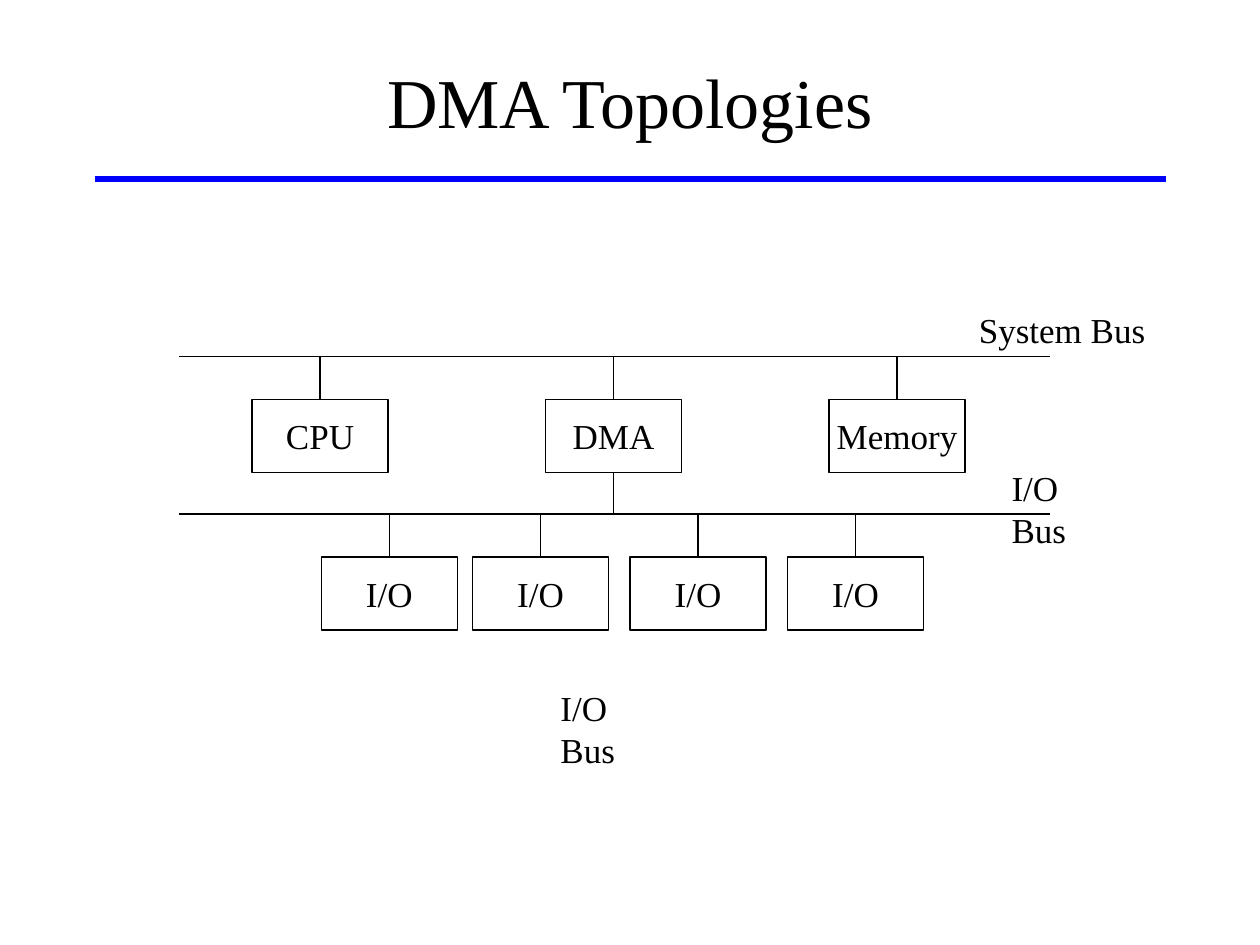
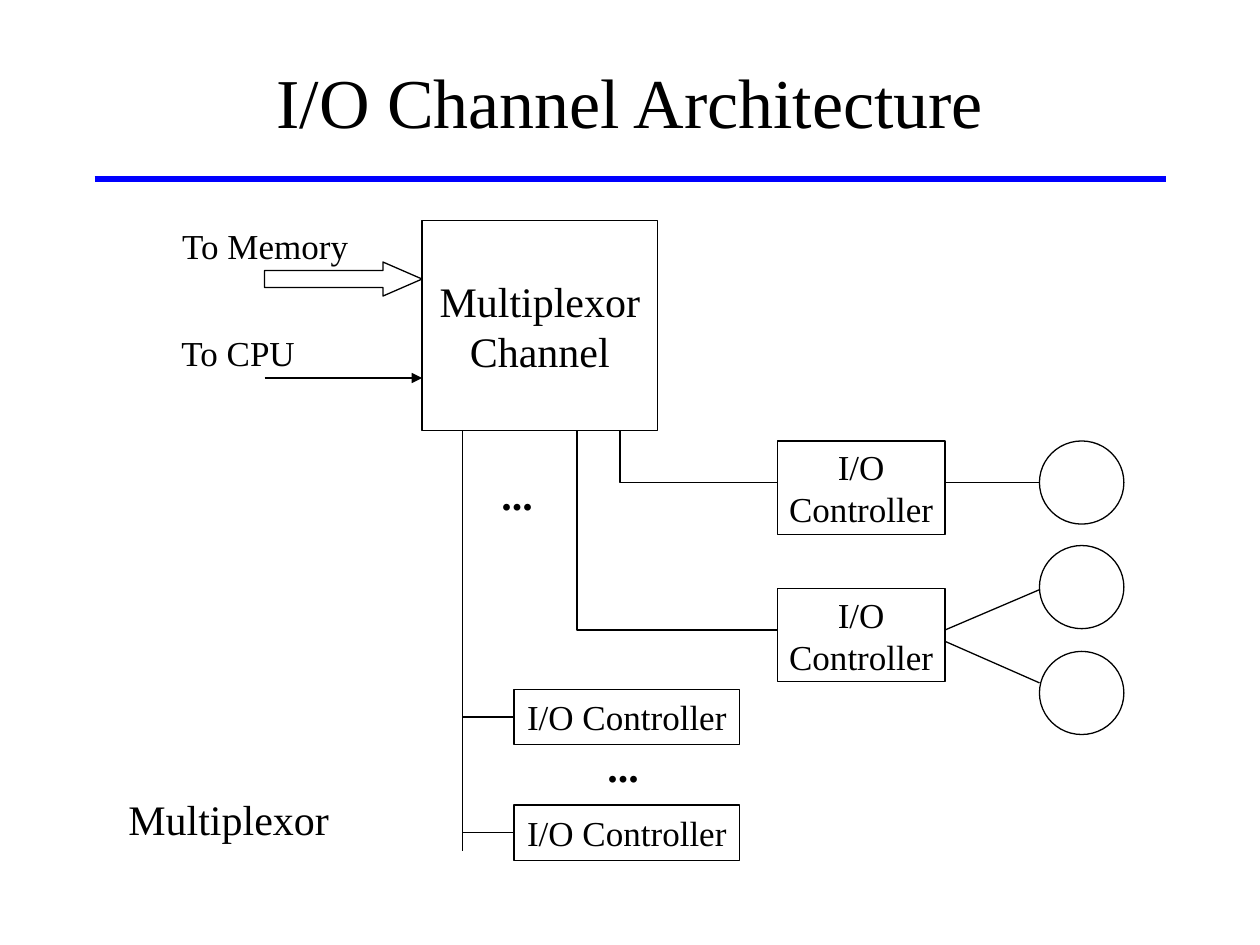
import pptx
import pptx.util
import pptx.dml.color
import pptx.enum.shapes
import pptx.enum.text
import pptx.oxml
import pptx.oxml.ns

PX = 9144
BLACK = pptx.dml.color.RGBColor(0, 0, 0)
BLUE = pptx.dml.color.RGBColor(0, 0, 255)
FONT = "Times New Roman"
SHAPE = pptx.enum.shapes.MSO_SHAPE
ALIGN = pptx.enum.text.PP_ALIGN
ANCHOR = pptx.enum.text.MSO_ANCHOR


def add_box(page, kind, left, top, width, height, text="", size=20, bold=False,
            align=ALIGN.CENTER, anchor=ANCHOR.MIDDLE):
    place = [length * PX for length in (left, top, width, height)]
    if kind is None:
        box = page.shapes.add_textbox(*place)
    else:
        box = page.shapes.add_shape(kind, *place)
        box.shadow.inherit = False
        box.fill.background()
        box.line.color.rgb = BLACK
        box.line.width = pptx.util.Pt(0.75)
    if text:
        frame = box.text_frame
        frame.text = text
        frame.word_wrap = False
        frame.vertical_anchor = anchor
        for para in frame.paragraphs:
            para.alignment = align
            for span in para.runs:
                span.font.name = FONT
                span.font.size = pptx.util.Pt(size)
                span.font.bold = bold
                span.font.color.rgb = BLACK
    return box


def add_line(page, x1, y1, x2, y2, color=BLACK, weight=0.75):
    line = page.shapes.add_connector(pptx.enum.shapes.MSO_CONNECTOR.STRAIGHT,
                                     x1 * PX, y1 * PX, x2 * PX, y2 * PX)
    line.line.color.rgb = color
    line.line.width = pptx.util.Pt(weight)
    pptx.oxml.ns.qn("a:effectLst")
    line._element.spPr.append(pptx.oxml.parse_xml(
        f"<a:effectLst {pptx.oxml.ns.nsdecls('a')}/>"))
    return line


deck = pptx.Presentation()
deck.slide_width = 1000 * PX
deck.slide_height = 750 * PX

pages = []
for title in ("DMA Topologies", "I/O Channel Architecture"):
    page = deck.slides.add_slide(deck.slide_layouts[6])
    add_line(page, 75, 142, 925, 142, BLUE, 3)
    add_box(page, None, 75, 17, 850, 125, title, 40)
    pages.append(page)
topologies, channels = pages

SYSTEM_BUS, IO_BUS = 283, 408
UNIT_WIDTH, UNIT_HEIGHT, DROP = 108, 58, 34
bus_units = [
    (SYSTEM_BUS, [("CPU", 200), ("DMA", 433), ("Memory", 658)]),
    (IO_BUS, [("I/O", left) for left in (255, 375, 500, 625)]),
]
for bus, units in bus_units:
    add_line(topologies, 142, bus, 833, bus)
    for name, left in units:
        unit = add_box(topologies, SHAPE.RECTANGLE, left, bus + DROP,
                       UNIT_WIDTH, UNIT_HEIGHT, name)
        middle = left + UNIT_WIDTH // 2
        add_line(topologies, middle, bus + DROP, middle, bus).begin_connect(unit, 0)
        if name == "DMA":
            add_line(topologies, middle, IO_BUS - DROP, middle, IO_BUS).begin_connect(unit, 2)

for name, left, top, width in [("System Bus", 767, 240, 152), ("I/O Bus", 793, 365, 107),
                               ("I/O Bus", 435, 540, 107)]:
    add_box(topologies, None, left, top, width, 43, name,
            align=ALIGN.LEFT, anchor=ANCHOR.TOP)

add_box(channels, SHAPE.RECTANGLE, 335, 175, 187, 167, "Multiplexor\nChannel", 24)
memory_arrow = add_box(channels, SHAPE.RIGHT_ARROW, 210, 208, 125, 27)
memory_arrow.adjustments[0] = 0.5
memory_arrow.adjustments[1] = 1.15
cpu_arrow = add_line(channels, 210, 300, 335, 300)
cpu_arrow.line._get_or_add_ln().append(pptx.oxml.parse_xml(
    f"<a:tailEnd {pptx.oxml.ns.nsdecls('a')} type='triangle'/>"))

for port, bend, top in [(492, 383, 350), (458, 500, 467)]:
    add_box(channels, SHAPE.RECTANGLE, 617, top, 133, 74, "I/O\nController")
    builder = channels.shapes.build_freeform(port, 342, scale=PX)
    builder.add_line_segments([(port, bend), (617, bend)], close=False)
    wire = builder.convert_to_shape()
    wire.shadow.inherit = False
    wire.fill.background()
    wire.line.color.rgb = BLACK
    wire.line.width = pptx.util.Pt(0.75)

for top, start, end in [(350, 383, 383), (433, 500, 468), (517, 509, 542)]:
    add_box(channels, SHAPE.OVAL, 825, top, 67, 66)
    add_line(channels, 750, start, 825, end)

add_line(channels, 367, 342, 367, 675)
for top in (547, 639):
    controller = add_box(channels, SHAPE.RECTANGLE, 408, top, 179, 44, "I/O Controller")
    add_line(channels, 408, top + 22, 367, top + 22).begin_connect(controller, 1)

for text, left, top, width, height, size, bold in [
    ("...", 472, 583, 45, 50, 24, True),
    ("...", 388, 367, 45, 50, 24, True),
    ("To Memory", 134, 173, 153, 43, 20, False),
    ("To CPU", 133, 258, 112, 43, 20, False),
    ("Multiplexor", 92, 625, 179, 50, 24, False),
]:
    add_box(channels, None, left, top, width, height, text, size, bold, anchor=ANCHOR.TOP)

deck.save("out.pptx")
